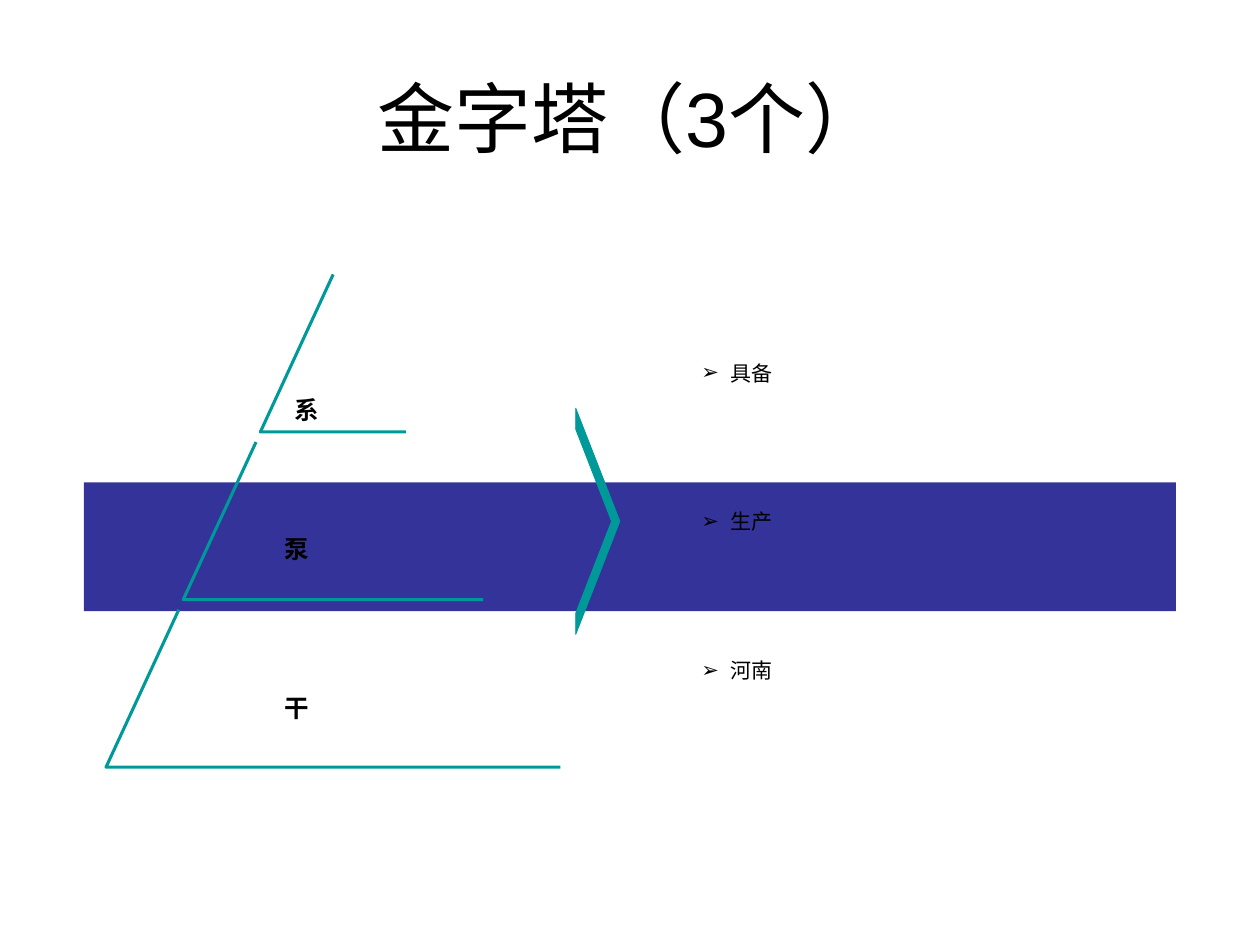
from dataclasses import dataclass

from lxml.etree import SubElement
from pptx import Presentation
from pptx.dml.color import RGBColor as RGB
from pptx.enum.shapes import MSO_SHAPE as SHAPE
from pptx.enum.text import MSO_ANCHOR as ANCHOR, MSO_AUTO_SIZE as AUTO, PP_ALIGN as ALIGN
from pptx.oxml.ns import qn
from pptx.util import Pt


@dataclass(frozen=True)
class Theme:
    """Colours, font and type sizes of the slide."""
    band: RGB = RGB(0x33, 0x33, 0x99)
    teal: RGB = RGB(0x00, 0x99, 0x99)
    ink: RGB = RGB(0x00, 0x00, 0x00)
    font: str = "Arial"
    title: int = 44
    label: int = 14
    note: int = 12


THEME = Theme()
TIERS = [("系", 161.3, 219), ("泵", 155.5, 298), ("干", 155.5, 389)]
NOTES = [("具备", 272), ("生产", 266.4), ("河南", 283.7)]


def add_text(slide, box, words, size, bold=False, bullet=None):
    """Add one line of text in a box and return its frame and paragraph."""
    frame = slide.shapes.add_textbox(*map(Pt, box)).text_frame
    frame.word_wrap = True
    para = frame.paragraphs[0]
    if bullet:
        props = para._p.get_or_add_pPr()
        props.set("marL", str(Pt(16.5)))
        props.set("indent", str(-Pt(16.5)))
        SubElement(props, qn("a:buFont"), typeface=THEME.font)
        SubElement(props, qn("a:buChar"), char=bullet)
    run = para.add_run()
    run.text = words
    font = run.font
    font.name, font.size, font.bold = THEME.font, Pt(size), bold
    font.color.rgb = THEME.ink
    return frame, para


def add_line(slide, box, words, size, **style):
    """Add a loosely spaced line whose box grows with its text."""
    frame, para = add_text(slide, box, words, size, **style)
    frame.auto_size = AUTO.SHAPE_TO_FIT_TEXT
    para.line_spacing = 1.2


def add_solid(slide, kind, box, color):
    """Add a filled preset shape without outline or shadow."""
    shape = slide.shapes.add_shape(kind, *map(Pt, box))
    shape.shadow.inherit = False
    shape.fill.solid()
    shape.fill.fore_color.rgb = color
    shape.line.fill.background()
    return shape


def add_tiers(slide, box):
    """Draw the open outlines of the pyramid, each wider than the last."""
    left, top, width, height = box
    pitch, step, slant, rise = 95.8, 44.1, 41.6, 90
    count = len(TIERS)
    for i in range(count):
        inset = step * (count - 1 - i)
        x, y = left + inset, top + pitch * i
        base = y + rise
        pen = slide.shapes.build_freeform(Pt(x + slant), Pt(y))
        corners = [(x, base), (left + width - inset, base)]
        pen.add_line_segments([(Pt(a), Pt(b)) for a, b in corners], close=False)
        tier = pen.convert_to_shape()
        tier.shadow.inherit = False
        tier.fill.background()
        tier.line.color.rgb = THEME.teal
        tier.line.width = Pt(1.75)


def add_labels(slide):
    """Name each tier of the pyramid."""
    for words, left, top in TIERS:
        add_line(slide, (left, top, 85, 27.2), words, THEME.label, bold=True)


def add_notes(slide, box):
    """List the bulleted notes at an even pitch."""
    left, top, pitch, height = box
    for i, (words, width) in enumerate(NOTES):
        spot = (left, top + pitch * i, width, height)
        add_line(slide, spot, words, THEME.note, bullet="➢")


def add_arrow(slide, box):
    """Draw the thin pointer between pyramid and notes."""
    arrow = add_solid(slide, SHAPE.NOTCHED_RIGHT_ARROW, box, THEME.teal)
    arrow.adjustments[0] = 0.814
    arrow.adjustments[1] = 1
    arrow.line.color.rgb = THEME.teal
    arrow.line.width = Pt(0.5)


def add_title(slide, box):
    """Add the centred slide title."""
    frame, para = add_text(slide, box, "金字塔（3个）", THEME.title)
    frame.vertical_anchor = ANCHOR.MIDDLE
    para.alignment = ALIGN.CENTER


def main():
    """Build the slide and save it."""
    deck = Presentation()
    deck.slide_width, deck.slide_height = Pt(720), Pt(540)
    slide = deck.slides.add_slide(deck.slide_layouts[6])
    add_solid(slide, SHAPE.RECTANGLE, (48, 275.7, 624, 73.5), THEME.band)
    add_tiers(slide, (60.6, 156.8, 259.6, 281.6))
    add_labels(slide)
    add_notes(slide, (393.8, 199.4, 85, 24.5))
    add_arrow(slide, (329, 233.3, 25.2, 129.2))
    add_title(slide, (36, 21.6, 648, 90))
    deck.save("out.pptx")


if __name__ == "__main__":
    main()
